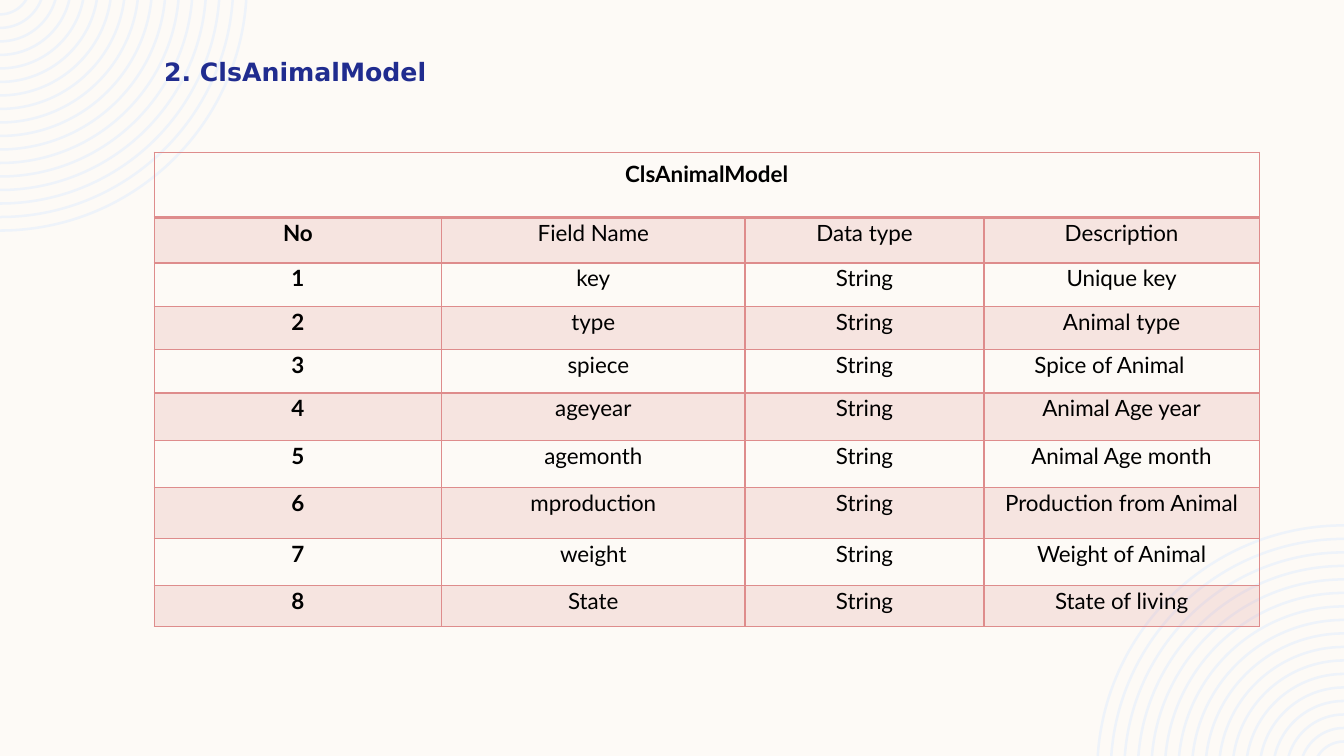
from math import asin, cos, pi, sin, tan

from lxml.etree import SubElement
from pptx import Presentation
from pptx.dml.color import RGBColor
from pptx.enum.text import MSO_ANCHOR, MSO_AUTO_SIZE, PP_ALIGN
from pptx.oxml.ns import qn
from pptx.util import Inches, Pt

SLIDE_W, SLIDE_H = 13.33, 7.5
CREAM, PALE_BLUE, NAVY, ROSE, BLACK = "FDFAF6", "EEF3FA", "202C8F", "DE8C8C", "000000"

HEADING = "2. ClsAnimalModel"
TABLE_TITLE = "ClsAnimalModel"
FIELDS = [
    ("No", "Field Name", "Data type", "Description"),
    ("1", "key", "String", "Unique key"),
    ("2", "type", "String", "Animal type"),
    ("3", "spiece", "String", "Spice of Animal"),
    ("4", "ageyear", "String", "Animal Age year"),
    ("5", "agemonth", "String", "Animal Age month"),
    ("6", "mproduction", "String", "Production from Animal"),
    ("7", "weight", "String", "Weight of Animal"),
    ("8", "State", "String", "State of living"),
]
COL_WIDTHS = [2.85, 3.01, 2.37, 2.73]
ROW_HEIGHTS = [0.65, 0.45, 0.43, 0.43, 0.43, 0.47, 0.47, 0.5, 0.47, 0.41]
# text -> (alignment, left indent in inches)
INDENTED = {
    "spiece": (PP_ALIGN.CENTER, 0.1),
    "Spice of Animal": (PP_ALIGN.LEFT, 0.45),
}

RING_COUNT, RING_STEP, RING_WIDTH = 17, 0.134, 0.025
RING_RADIUS, RING_CENTRE_Y = 2.46, -0.16


def color(hex_string):
    return RGBColor.from_string(hex_string)


def arc(radius):
    """Bezier points of a circle from the slide's top edge round to its left edge."""
    start = asin(-RING_CENTRE_Y / radius)
    k = 4 / 3 * tan((pi / 2 - start) / 4)
    c, s = cos(start), sin(start)
    unit = [(c, s), (c - k * s, s + k * c), (k, 1), (0, 1)]
    return [(radius * x, RING_CENTRE_Y + radius * y) for x, y in unit]


def curve_rings(sp):
    """Turn the first three and last three segments of each ring into curves."""
    lines = list(sp._element.iter(qn("a:lnTo")))
    for ring in range(0, len(lines), 7):
        for first in (ring, ring + 4):
            curve, *rest = lines[first:first + 3]
            curve.tag = qn("a:cubicBezTo")
            for line in rest:
                curve.append(line[0])
                line.getparent().remove(line)


def add_rings(slide, opposite):
    """Concentric bands in the top left corner, or turned into the opposite one."""
    builder = None
    for i in range(RING_COUNT):
        outer = RING_RADIUS - i * RING_STEP
        points = arc(outer) + arc(outer - RING_WIDTH)[::-1]
        if opposite:
            points = [(SLIDE_W - x, SLIDE_H - y) for x, y in points]
        points = [(Inches(x), Inches(y)) for x, y in points]
        if builder is None:
            builder = slide.shapes.build_freeform(*points[0])
        else:
            builder.move_to(*points[0])
        builder.add_line_segments(points[1:], close=True)
    sp = builder.convert_to_shape()
    curve_rings(sp)
    sp.shadow.inherit = False
    sp.fill.solid()
    sp.fill.fore_color.rgb = color(PALE_BLUE)
    sp.line.fill.background()


def format_paragraph(p, font, size, hex_color, bold):
    p.line_spacing = 1.07
    p.space_after = Pt(8)
    for r in p.runs:
        r.font.name, r.font.size, r.font.bold = font, Pt(size), bold
        r.font.color.rgb = color(hex_color)


def set_borders(cell, bottom_width=1, top_width=1):
    tc_pr = cell._tc.get_or_add_tcPr()
    widths = {"a:lnL": 1, "a:lnR": 1, "a:lnT": top_width, "a:lnB": bottom_width}
    for tag, width in widths.items():
        ln = SubElement(tc_pr, qn(tag), w=str(Pt(width)))
        SubElement(SubElement(ln, qn("a:solidFill")), qn("a:srgbClr"), val=ROSE)


def set_fill(cell, shaded):
    if not shaded:
        cell.fill.background()
        return
    cell.fill.solid()
    cell.fill.fore_color.rgb = color(ROSE)
    rgb = cell._tc.tcPr.find(qn("a:solidFill")).find(qn("a:srgbClr"))
    SubElement(rgb, qn("a:alpha"), val="20000")


def fill_cell(cell, text, bold, margins):
    cell.margin_left = cell.margin_right = Inches(margins[0])
    cell.margin_top = cell.margin_bottom = Inches(margins[1])
    cell.vertical_anchor = MSO_ANCHOR.TOP
    cell.text_frame.text = text
    p = cell.text_frame.paragraphs[0]
    p.alignment, indent = INDENTED.get(text, (PP_ALIGN.CENTER, 0))
    if indent:
        p._p.get_or_add_pPr().set("marL", str(Inches(indent)))
    format_paragraph(p, "Lato", 16, BLACK, bold)


def add_field_table(slide):
    table = slide.shapes.add_table(
        len(ROW_HEIGHTS), len(COL_WIDTHS), Inches(1.53), Inches(1.51),
        Inches(sum(COL_WIDTHS)), Inches(sum(ROW_HEIGHTS))).table
    table.first_row = table.horz_banding = False
    for column, width in zip(table.columns, COL_WIDTHS):
        column.width = Inches(width)
    for row, height in zip(table.rows, ROW_HEIGHTS):
        row.height = Inches(height)

    title = table.cell(0, 0)
    title.merge(table.cell(0, len(COL_WIDTHS) - 1))
    for cell in table.rows[0].cells:
        set_borders(cell, bottom_width=2)
        set_fill(cell, False)
    fill_cell(title, TABLE_TITLE, True, (0.12, 0.06))

    for i, texts in enumerate(FIELDS, start=1):
        for j, text in enumerate(texts):
            cell = table.cell(i, j)
            set_borders(cell, top_width=2 if i == 1 else 1)
            set_fill(cell, i % 2 == 1)
            fill_cell(cell, text, j == 0, (0.05, 0))


def main():
    prs = Presentation()
    prs.slide_width, prs.slide_height = Inches(SLIDE_W), Inches(SLIDE_H)
    s = prs.slides.add_slide(prs.slide_layouts[6])
    s.background.fill.solid()
    s.background.fill.fore_color.rgb = color(CREAM)

    for opposite in (False, True):
        add_rings(s, opposite)

    tf = s.shapes.add_textbox(Inches(1.53), Inches(0.49), Inches(6.67), Inches(0.41)).text_frame
    tf.word_wrap = True
    tf.auto_size = MSO_AUTO_SIZE.SHAPE_TO_FIT_TEXT
    tf.text = HEADING
    format_paragraph(tf.paragraphs[0], "DejaVu Sans", 18, NAVY, True)

    add_field_table(s)
    prs.save("out.pptx")


if __name__ == "__main__":
    main()
